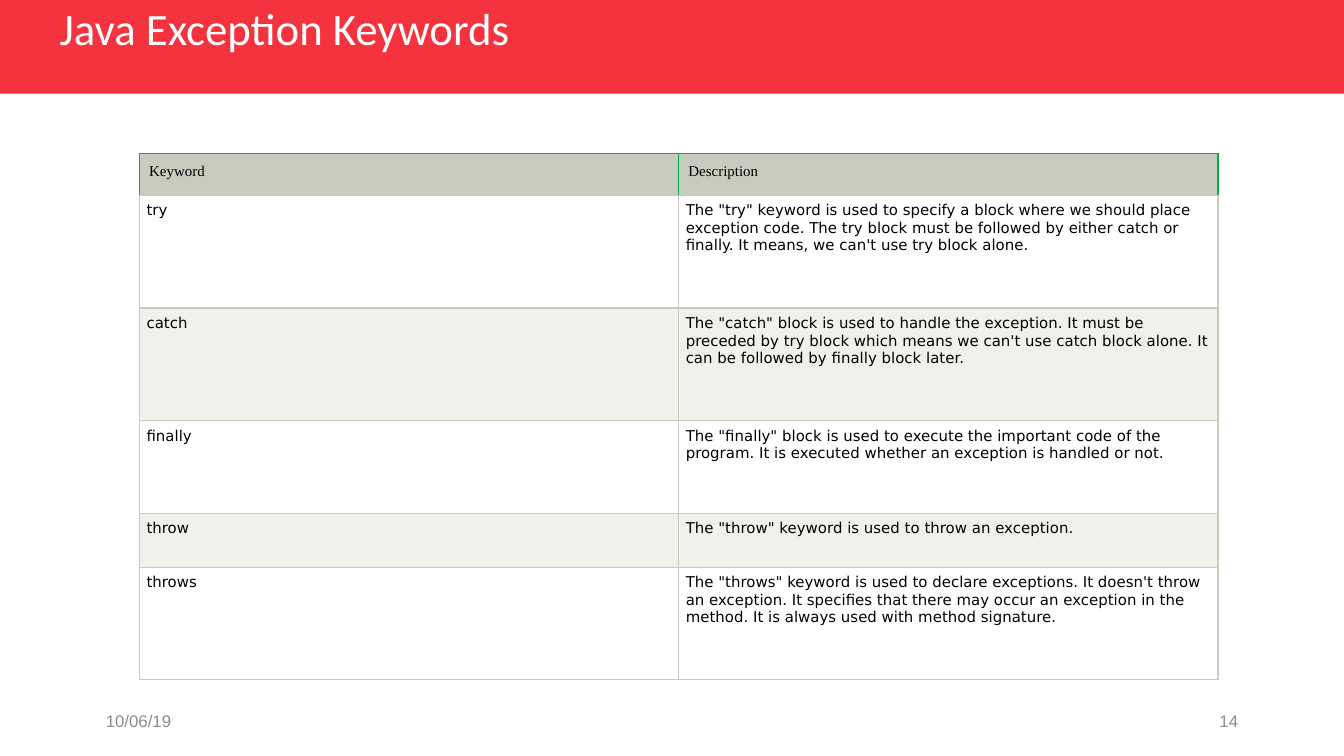
from copy import deepcopy

from lxml.etree import SubElement
from pptx import Presentation
from pptx.dml.color import RGBColor
from pptx.enum.shapes import MSO_SHAPE
from pptx.enum.text import MSO_ANCHOR, PP_ALIGN
from pptx.oxml.ns import qn
from pptx.util import Cm, Pt

RED = RGBColor(0xF5, 0x33, 0x3F)
WHITE = RGBColor(0xFF, 0xFF, 0xFF)
BLACK = RGBColor(0x00, 0x00, 0x00)
GRAY = RGBColor(0x8C, 0x8C, 0x8C)
SAGE = RGBColor(0xC7, 0xCC, 0xBE)
PALE_SAGE = RGBColor(0xEF, 0xF1, 0xEB)
GREEN = RGBColor(0x00, 0xB1, 0x47)

TITLE = {"name": "Calibri", "size": Pt(24), "color": WHITE}
FOOTER = {"name": "Arial", "size": Pt(9), "color": GRAY}
HEADER = {"name": "Times New Roman", "size": Pt(8), "color": BLACK}
BODY = {"name": "DejaVu Sans", "size": Pt(8), "color": BLACK}

KEYWORDS = [
    ("Keyword", "Description"),
    ("try", 'The "try" keyword is used to specify a block where we should place exception code. '
            "The try block must be followed by either catch or finally. "
            "It means, we can't use try block alone."),
    ("catch", 'The "catch" block is used to handle the exception. It must be preceded by try block '
              "which means we can't use catch block alone. It can be followed by finally block later."),
    ("finally", 'The "finally" block is used to execute the important code of the program. '
                "It is executed whether an exception is handled or not."),
    ("throw", 'The "throw" keyword is used to throw an exception.'),
    ("throws", 'The "throws" keyword is used to declare exceptions. It doesn\'t throw an exception. '
               "It specifies that there may occur an exception in the method. "
               "It is always used with method signature."),
]
ROW_HEIGHTS = [0.79, 2.13, 2.13, 1.75, 1.02, 2.13]
COLUMN_WIDTH = 10.19


class SlideBuilder:
    def __init__(self, slide):
        self.slide = slide

    def styled_run(self, paragraph, text, style):
        run = paragraph.add_run()
        run.text = text
        for key, value in style.items():
            if key == "color":
                run.font.color.rgb = value
            else:
                setattr(run.font, key, value)

    def band(self, left, top, width, height, color):
        shape = self.slide.shapes.add_shape(
            MSO_SHAPE.RECTANGLE, Cm(left), Cm(top), Cm(width), Cm(height))
        shape.shadow.inherit = False
        shape.fill.solid()
        shape.fill.fore_color.rgb = color
        shape.line.fill.background()

    def text(self, left, top, width, height, text, style, alignment=PP_ALIGN.LEFT):
        box = self.slide.shapes.add_textbox(Cm(left), Cm(top), Cm(width), Cm(height))
        frame = box.text_frame
        frame.word_wrap = True
        frame.vertical_anchor = MSO_ANCHOR.MIDDLE
        paragraph = frame.paragraphs[0]
        paragraph.alignment = alignment
        self.styled_run(paragraph, text, style)
        return paragraph

    def title(self, left, top, width, height, text):
        """Add the title, which ends in a line break of its own size."""
        paragraph = self.text(left, top, width, height, text, TITLE)
        paragraph.line_spacing = 0.9
        properties = paragraph.runs[0]._r.rPr
        paragraph.add_line_break()
        paragraph._p[-1].append(deepcopy(properties))
        end = SubElement(paragraph._p, qn("a:endParaRPr"), sz=properties.get("sz"))
        for child in properties:
            end.append(deepcopy(child))

    def borders(self, cell, colors):
        """Draw the left, right, top and bottom borders in the given colours."""
        properties = cell._tc.get_or_add_tcPr()
        for side, color in zip("LRTB", colors):
            line = SubElement(properties, qn(f"a:ln{side}"), w=str(Pt(0.75)))
            fill = SubElement(line, qn("a:solidFill"))
            SubElement(fill, qn("a:srgbClr"), val=str(color))

    def cell(self, cell, text, style, fill, margin, border_colors):
        self.borders(cell, border_colors)
        cell.fill.solid()
        cell.fill.fore_color.rgb = fill
        for side in ("left", "right", "top", "bottom"):
            setattr(cell, f"margin_{side}", Cm(margin))
        self.styled_run(cell.text_frame.paragraphs[0], text, style)

    def table(self, left, top, rows):
        table = self.slide.shapes.add_table(
            len(rows), 2, Cm(left), Cm(top),
            Cm(2 * COLUMN_WIDTH), Cm(sum(ROW_HEIGHTS))).table
        for column in table.columns:
            column.width = Cm(COLUMN_WIDTH)
        for index, (texts, height) in enumerate(zip(rows, ROW_HEIGHTS)):
            table.rows[index].height = Cm(height)
            for cell, text in zip(table.rows[index].cells, texts):
                if index == 0:
                    self.cell(cell, text, HEADER, SAGE, 0.18, [GREEN] * 3 + [SAGE])
                else:
                    fill = WHITE if index % 2 else PALE_SAGE
                    self.cell(cell, text, BODY, fill, 0.13, [SAGE] * 4)


def main():
    presentation = Presentation()
    presentation.slide_width = Cm(25.4)
    presentation.slide_height = Cm(14.29)
    builder = SlideBuilder(presentation.slides.add_slide(presentation.slide_layouts[6]))

    builder.band(0, 0, 25.4, 1.77, RED)
    builder.text(1.75, 13.24, 5.72, 0.76, "10/06/19", FOOTER)
    builder.text(17.93, 13.24, 5.72, 0.76, "14", FOOTER, PP_ALIGN.RIGHT)
    builder.title(0.88, 0.56, 12.3, 1.07, "Java Exception Keywords")
    builder.table(2.64, 2.9, KEYWORDS)
    presentation.save("out.pptx")


if __name__ == "__main__":
    main()
